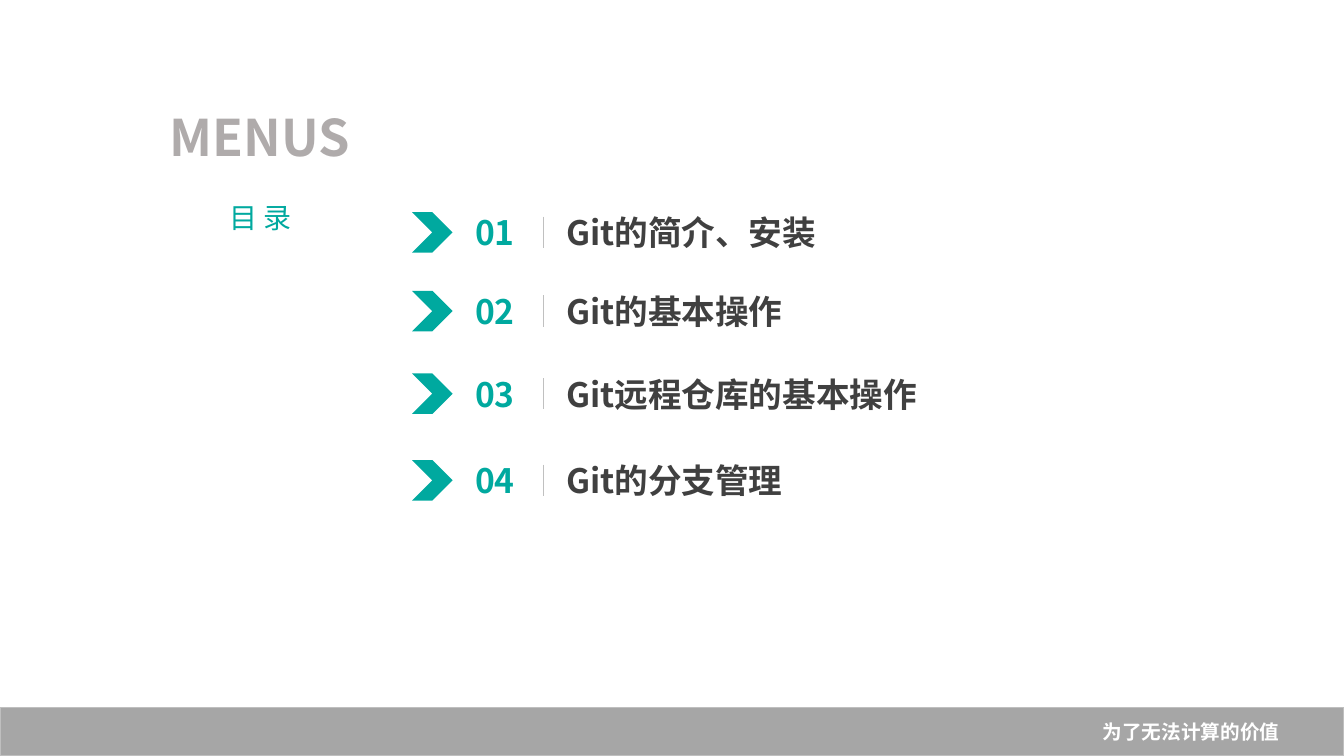
from dataclasses import dataclass

from lxml.etree import SubElement
from pptx import Presentation
from pptx.dml.color import RGBColor
from pptx.enum.shapes import MSO_CONNECTOR, MSO_SHAPE
from pptx.enum.text import MSO_ANCHOR, PP_ALIGN
from pptx.oxml.ns import qn
from pptx.util import Pt


@dataclass(frozen=True)
class Theme:
    teal: str = "00A99F"
    heading: str = "AFABAB"
    body: str = "404040"
    divider: str = "C0C0C0"
    footer: str = "A6A6A6"
    footer_edge: str = "BFBFBF"
    white: str = "FFFFFF"
    sans: str = "Noto Sans CJK SC"
    entry_sans: str = "Noto Sans CJK JP"
    footer_sans: str = "Calibri"
    heading_size: int = 36
    entry_size: int = 24
    title_size: int = 20
    footer_size: int = 14


THEME = Theme()
WIDTH, HEIGHT = 960, 540
ENTRIES = [
    (137.5, "Git的简介、安装"),
    (193.7, "Git的基本操作"),
    (252.7, "Git远程仓库的基本操作"),
    (314.6, "Git的分支管理"),
]


def rgb(code):
    return RGBColor.from_string(code)


def write(frame, text, size, color, font, align=PP_ALIGN.LEFT, bold=True):
    """Put one middle-anchored run in the frame, with Latin and East Asian fonts."""
    frame.word_wrap = True
    frame.vertical_anchor = MSO_ANCHOR.MIDDLE
    paragraph = frame.paragraphs[0]
    paragraph.alignment = align
    run = paragraph.add_run()
    run.text = text
    run.font.size = Pt(size)
    run.font.bold = bold
    run.font.name = font
    run.font.color.rgb = rgb(color)
    east_asian = THEME.sans if font == THEME.footer_sans else font
    SubElement(run.font._element, qn("a:ea")).set("typeface", east_asian)
    return paragraph


def add_label(slide, left, top, width, height, *text_args):
    label = slide.shapes.add_textbox(Pt(left), Pt(top), Pt(width), Pt(height))
    write(label.text_frame, *text_args)


def add_filled(slide, preset, left, top, width, height, color):
    shape = slide.shapes.add_shape(preset, Pt(left), Pt(top), Pt(width), Pt(height))
    shape.shadow.inherit = False
    shape.fill.solid()
    shape.fill.fore_color.rgb = rgb(color)
    shape.line.fill.background()
    return shape


def add_heading(slide, left, top):
    add_label(slide, left, top, 263.5, 60.5, "MENUS", THEME.heading_size,
              THEME.heading, THEME.sans, PP_ALIGN.CENTER)
    title = slide.shapes.title
    title.left, title.top = Pt(left + 57), Pt(top + 55.4)
    title.width, title.height = Pt(150), Pt(68.4)
    paragraph = write(title.text_frame, "目 录", THEME.title_size, THEME.teal,
                      THEME.sans, PP_ALIGN.CENTER, False)
    paragraph.line_spacing = 0.9


def add_entry(slide, left, top, number, topic):
    """Draw one row: chevron, number, thin divider and topic."""
    height = 57
    add_filled(slide, MSO_SHAPE.CHEVRON, left, top + 14, 29, 29, THEME.teal)
    add_label(slide, left + 29, top, 60.5, height, f"{number:02d}",
              THEME.entry_size, THEME.teal, THEME.sans, PP_ALIGN.CENTER)
    divider_x = Pt(left + 93.8)
    divider = slide.shapes.add_connector(
        MSO_CONNECTOR.STRAIGHT, divider_x, Pt(top + 17.3), divider_x, Pt(top + 39.7))
    divider.line.color.rgb = rgb(THEME.divider)
    divider.line.width = Pt(0.5)
    SubElement(divider._element.spPr, qn("a:effectLst"))
    add_label(slide, left + 103, top, 315.4, height, topic,
              THEME.entry_size, THEME.body, THEME.entry_sans)


def add_footer(slide, top):
    footer = add_filled(slide, MSO_SHAPE.RECTANGLE, 0, top, WIDTH, HEIGHT - top,
                        THEME.footer)
    footer.line.color.rgb = rgb(THEME.footer_edge)
    footer.line.width = Pt(1)
    footer.text_frame.margin_right = Pt(46)
    write(footer.text_frame, "为了无法计算的价值", THEME.footer_size, THEME.white,
          THEME.footer_sans, PP_ALIGN.RIGHT)


def main():
    deck = Presentation()
    deck.slide_width, deck.slide_height = Pt(WIDTH), Pt(HEIGHT)
    slide = deck.slides.add_slide(deck.slide_layouts[5])
    add_heading(slide, 54, 67)
    for number, (top, topic) in enumerate(ENTRIES, 1):
        add_entry(slide, 294.3, top, number, topic)
    add_footer(slide, 505.5)
    deck.save("out.pptx")


if __name__ == "__main__":
    main()
